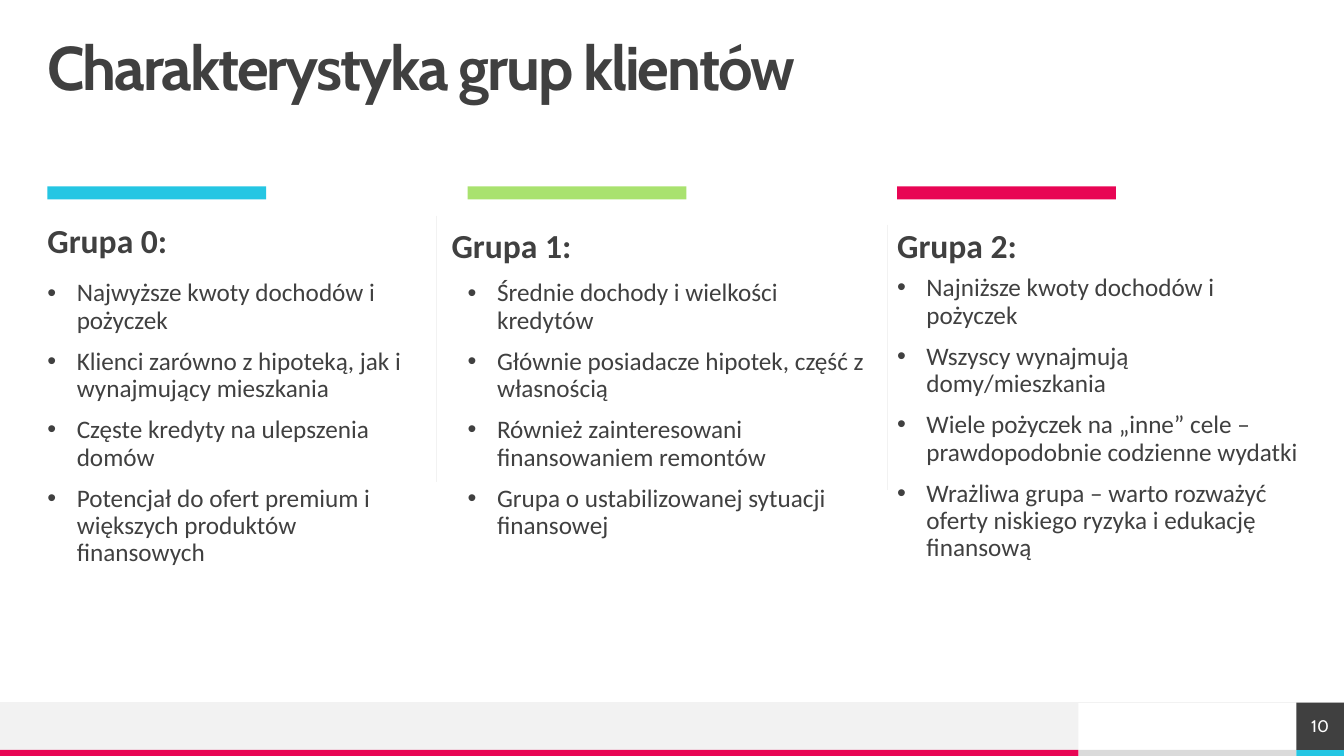
from lxml.etree import SubElement
from pptx import Presentation
from pptx.dml.color import RGBColor
from pptx.enum.shapes import MSO_CONNECTOR, MSO_SHAPE
from pptx.enum.text import MSO_ANCHOR, PP_ALIGN
from pptx.oxml.ns import qn
from pptx.util import Pt

COLORS = {
    "text": "404040", "white": "FFFFFF", "pale": "F2F2F2", "grey": "DADADA",
    "blue": "25C6E3", "green": "A9E26F", "pink": "E80554",
}
TITLE = "Charakterystyka grup klientów"
PAGE_NUMBER = "10"
# Positions in points; "bar" is also the left edge of the bullet list.
GROUPS = [
    {"name": "Grupa 0:", "color": "blue", "bar": 33.84,
     "heading": (33.84, 160.56, 430.56), "list_top": 200.16, "list_width": 267.84,
     "traits": ["Najwyższe kwoty dochodów i pożyczek",
                "Klienci zarówno z hipoteką, jak i wynajmujący mieszkania",
                "Częste kredyty na ulepszenia domów",
                "Potencjał do ofert premium i większych produktów finansowych"]},
    {"name": "Grupa 1:", "color": "green", "bar": 334.08,
     "heading": (322.56, 164.16, 430.56), "list_top": 200.16, "list_width": 290.16,
     "traits": ["Średnie dochody i wielkości kredytów",
                "Głównie posiadacze hipotek, część z własnością",
                "Również zainteresowani finansowaniem remontów",
                "Grupa o ustabilizowanej sytuacji finansowej"]},
    {"name": "Grupa 2:", "color": "pink", "bar": 640.8,
     "heading": (640.8, 164.16, 308.16), "list_top": 196.56, "list_width": 290.16,
     "traits": ["Najniższe kwoty dochodów i pożyczek",
                "Wszyscy wynajmują domy/mieszkania",
                "Wiele pożyczek na „inne” cele – prawdopodobnie codzienne wydatki",
                "Wrażliwa grupa – warto rozważyć oferty niskiego ryzyka i edukację finansową"]},
]
DIVIDERS = [(311.76, 154.08, 344.16), (633.6, 160.56, 349.92)]  # x, top, bottom

WIDTH, HEIGHT = 960, 540
MARGIN = 33.84
BAND_TOP, STRIPE_TOP = 501.84, 535.68
BAND_HEIGHT, STRIPE_HEIGHT = STRIPE_TOP - BAND_TOP, HEIGHT - STRIPE_TOP
BAND_RIGHT, NUMBER_LEFT = 770.4, 926
INDENT = 21

prs = Presentation()
prs.slide_width, prs.slide_height = Pt(WIDTH), Pt(HEIGHT)
slide = prs.slides.add_slide(prs.slide_layouts[6])
shapes = slide.shapes


def rgb(color):
    return RGBColor.from_string(COLORS[color])


def add_block(left, top, width, height, color):
    block = shapes.add_shape(MSO_SHAPE.RECTANGLE, Pt(left), Pt(top), Pt(width), Pt(height))
    block.shadow.inherit = False
    block.fill.solid()
    block.fill.fore_color.rgb = rgb(color)
    block.line.fill.background()
    return block


def add_rule(x1, y1, x2, y2):
    rule = shapes.add_connector(MSO_CONNECTOR.STRAIGHT, Pt(x1), Pt(y1), Pt(x2), Pt(y2))
    rule.line.color.rgb = rgb("pale")
    rule.line.width = Pt(0.5)
    SubElement(rule._element.spPr, qn("a:effectLst"))


def prepare_frame(shape, anchor=MSO_ANCHOR.TOP):
    """Wrap the text and remove the inner margins."""
    frame = shape.text_frame
    frame.word_wrap = True
    frame.vertical_anchor = anchor
    frame.margin_left = frame.margin_top = frame.margin_right = frame.margin_bottom = 0
    return frame


def add_text_box(left, top, width, height, anchor=MSO_ANCHOR.TOP):
    return prepare_frame(
        shapes.add_textbox(Pt(left), Pt(top), Pt(width), Pt(height)), anchor)


def write(paragraph, words, size, font="Calibri", bold=False, color="text"):
    run = paragraph.add_run()
    run.text = words
    run.font.name, run.font.size, run.font.bold = font, Pt(size), bold
    run.font.color.rgb = rgb(color)
    return run


def add_bullet(paragraph):
    props = paragraph._p.get_or_add_pPr()
    props.set("marL", str(Pt(INDENT)))
    props.set("indent", str(-Pt(INDENT)))
    SubElement(props, qn("a:buFont")).set("typeface", "Arial")
    SubElement(props, qn("a:buChar")).set("char", "•")


def add_group(group):
    left = group["bar"]
    add_block(left, 133.2, 156.24, 9.36, group["color"])

    heading = add_text_box(*group["heading"], 28).paragraphs[0]
    heading.line_spacing = 0.9
    write(heading, group["name"], 24, bold=True)

    traits = add_text_box(left, group["list_top"], group["list_width"], 172.8)
    for i, trait in enumerate(group["traits"]):
        item = traits.add_paragraph() if i else traits.paragraphs[0]
        add_bullet(item)
        item.line_spacing = 0.9
        if i:
            item.space_before = Pt(10)
        write(item, trait, 18)


def add_footer():
    add_block(BAND_RIGHT, STRIPE_TOP, NUMBER_LEFT - BAND_RIGHT, STRIPE_HEIGHT, "grey")
    add_block(0, BAND_TOP, BAND_RIGHT, BAND_HEIGHT, "pale")
    add_block(0, STRIPE_TOP, BAND_RIGHT, STRIPE_HEIGHT, "pink")
    add_block(NUMBER_LEFT, STRIPE_TOP, WIDTH - NUMBER_LEFT, STRIPE_HEIGHT, "blue")
    add_rule(WIDTH, BAND_TOP, 0, BAND_TOP)
    number_block = add_block(NUMBER_LEFT, BAND_TOP, WIDTH - NUMBER_LEFT, BAND_HEIGHT, "text")
    number = prepare_frame(number_block, MSO_ANCHOR.MIDDLE).paragraphs[0]
    number.alignment = PP_ALIGN.CENTER
    write(number, PAGE_NUMBER, 12, "Cabin", color="white")


add_footer()
title = add_text_box(MARGIN, MARGIN, 892.8, MARGIN, MSO_ANCHOR.MIDDLE).paragraphs[0]
title.line_spacing = 0.9
title_run = write(title, TITLE, 44, "Cabin", bold=True)
title_run.font._element.set("spc", "-150")
for group in GROUPS:
    add_group(group)
for x, top, bottom in DIVIDERS:
    add_rule(x, top, x, bottom)

prs.save("out.pptx")
